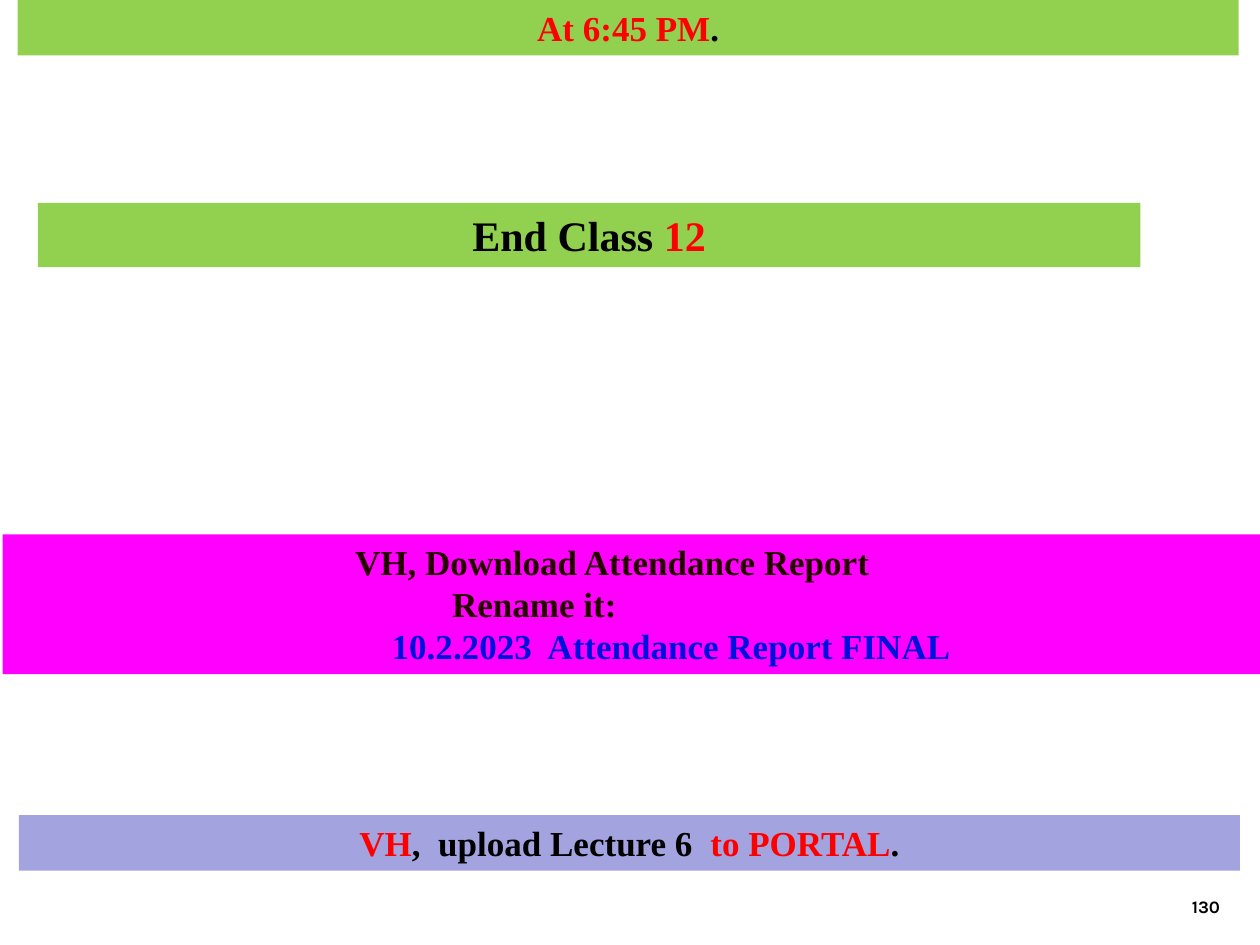
from pptx import Presentation
from pptx import util as u
from pptx.dml.color import RGBColor
from pptx.enum import shapes, text

BLACK = RGBColor(0x00, 0x00, 0x00)
RED = RGBColor(0xFF, 0x00, 0x00)
GREEN = RGBColor(0x92, 0xD0, 0x50)
LAVENDER = RGBColor(0xA3, 0xA3, 0xE0)
MAGENTA = RGBColor(0xFF, 0x00, 0xFF)
BROWN = RGBColor(0x26, 0x00, 0x00)
BLUE = RGBColor(0x00, 0x10, 0xDC)


def write(paragraph, wording, *, font, size, color, bold=True):
    run = paragraph.add_run()
    run.text = wording
    run.font.name = font
    run.font.size = u.Pt(size)
    run.font.bold = bold
    run.font.color.rgb = color


class ClassSlide:
    banner_font = "Times New Roman"
    number_font = "Karla"

    def __init__(self, slide):
        self.slide = slide

    def banner(self, left, top, width, height, fill, lines, size=20,
               align=text.PP_ALIGN.CENTER, indents=None):
        band = self.slide.shapes.add_shape(
            shapes.MSO_SHAPE.RECTANGLE,
            *map(u.Inches, (left, top, width, height)))
        band.shadow.inherit = False
        band.fill.solid()
        band.fill.fore_color.rgb = fill
        band.line.fill.background()
        frame = band.text_frame
        frame.word_wrap = True
        frame.vertical_anchor = text.MSO_ANCHOR.TOP
        frame.auto_size = text.MSO_AUTO_SIZE.SHAPE_TO_FIT_TEXT
        for index, parts in enumerate(lines):
            line = frame.add_paragraph() if index else frame.paragraphs[0]
            line.alignment = align
            if indents:
                line._p.get_or_add_pPr().set("marL", str(u.Inches(indents[index])))
            for wording, color in parts:
                write(line, wording, font=self.banner_font, size=size, color=color)

    def page_number(self, left, top, width, height, number):
        corner = self.slide.shapes.add_textbox(
            *map(u.Inches, (left, top, width, height)))
        frame = corner.text_frame
        frame.word_wrap = True
        frame.vertical_anchor = text.MSO_ANCHOR.BOTTOM
        line = frame.paragraphs[0]
        line.alignment = text.PP_ALIGN.RIGHT
        write(line, number, font=self.number_font, size=10, color=BLACK)


def main():
    deck = Presentation()
    deck.slide_width, deck.slide_height = u.Inches(10), u.Inches(7.5)
    closing = ClassSlide(deck.slides.add_slide(deck.slide_layouts[6]))

    closing.page_number(7.7, 6.83, 2.08, 0.5, "130")
    closing.banner(0.3, 1.61, 8.75, 0.51, GREEN,
                   [[("End Class ", BLACK), ("12", RED)]], size=24)
    closing.banner(0.15, 6.47, 9.69, 0.44, LAVENDER,
                   [[("VH", RED), (",  upload Lecture 6  ", BLACK),
                     ("to PORTAL", RED), (".", BLACK)]])
    closing.banner(0.14, 0, 9.69, 0.44, GREEN,
                   [[("At 6:45 PM", RED), (".", BLACK)]])
    closing.banner(0.02, 4.24, 10.02, 1.11, MAGENTA,
                   [[("VH, Download Attendance Report", BROWN)],
                    [("Rename it:", BROWN)],
                    [("10.2.2023  Attendance Report FINAL", BLUE)]],
                   align=text.PP_ALIGN.LEFT, indents=(2.7, 3.47, 2.99))
    deck.save("out.pptx")


if __name__ == "__main__":
    main()
